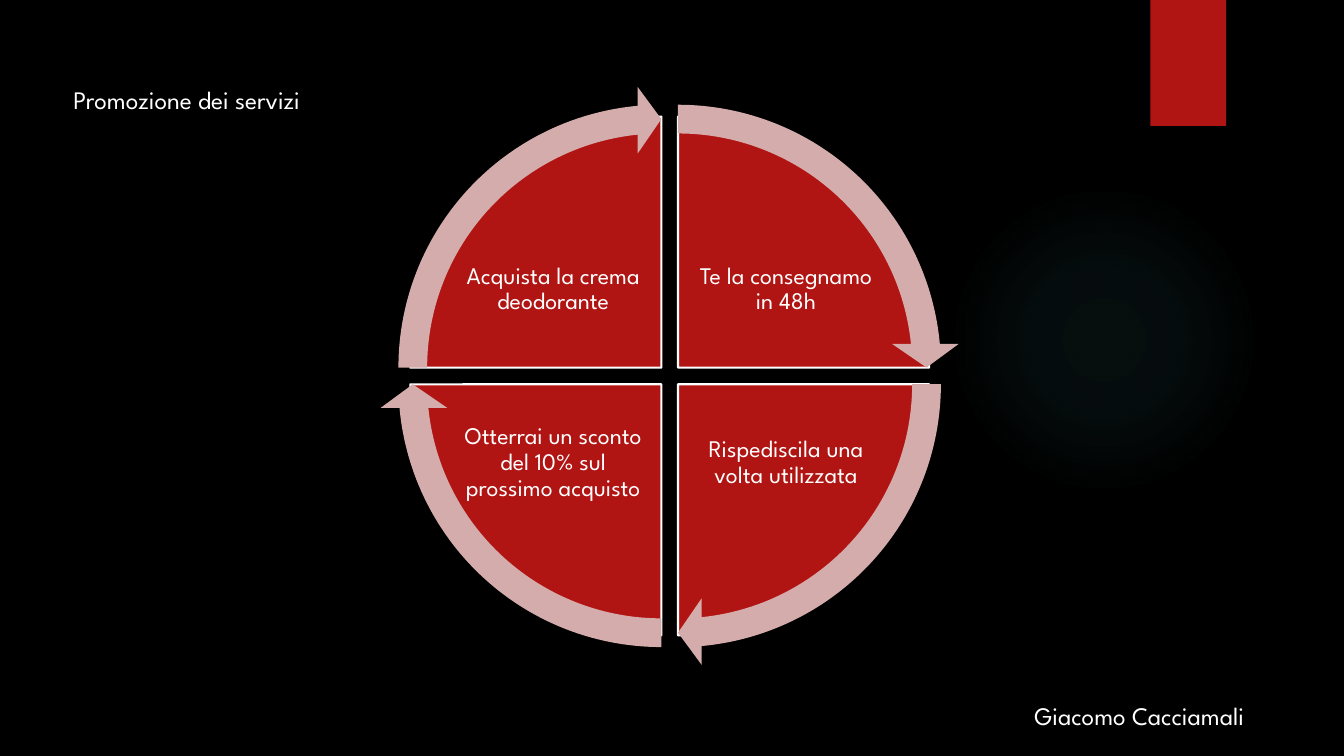
from dataclasses import dataclass

from lxml.etree import SubElement
from pptx import Presentation
from pptx.dml.color import RGBColor
from pptx.enum.shapes import MSO_SHAPE
from pptx.enum.text import MSO_ANCHOR, MSO_AUTO_SIZE, PP_ALIGN
from pptx.oxml.ns import qn
from pptx.util import Inches, Pt


@dataclass(frozen=True)
class Theme:
    background: str = "000000"
    red: str = "B01513"
    pink: str = "D4ACAB"
    white: str = "FFFFFF"
    glow: str = "50B9C1"
    font: str = "League Spartan"
    label_size: int = 18
    step_size: int = 17
    outline: float = 1.5


THEME = Theme()
WIDTH, HEIGHT = Inches(13.33), Inches(7.5)
COLUMN, ROW = WIDTH / 100, HEIGHT / 100
CENTER_X, CENTER_Y = 49.83 * COLUMN, 49.73 * ROW
HALF_GAP = 1.1 * ROW
PIE_SIZE, ARROW_SIZE = 66.4 * ROW, 74.53 * ROW
STEP_WIDTH, STEP_HEIGHT = 13.8 * COLUMN, 18.13 * ROW
STEP_OFFSET_X, STEP_OFFSET_Y = 8.66 * COLUMN, 11.47 * ROW
QUARTER, FULL_TURN = 54, 216
ARROWHEAD_ANGLE = 3.275

STEPS = [
    ("Te la consegnamo in 48h", 1, -1, 162),
    ("Rispediscila una volta utilizzata", 1, 1, 0),
    ("Otterrai un sconto del 10% sul prossimo acquisto", -1, 1, 54),
    ("Acquista la crema deodorante", -1, -1, 108),
]


def color(value):
    return RGBColor.from_string(value)


def box_at(left, top, width, height):
    return [round(length) for length in (left, top, width, height)]


def centered_box(center_x, center_y, width, height):
    return box_at(center_x - width / 2, center_y - height / 2, width, height)


def add_figure(shapes, kind, box, fill=None, line=None, adjustments=()):
    shape = shapes.add_shape(kind, *box)
    shape.shadow.inherit = False
    for index, value in enumerate(adjustments):
        shape.adjustments[index] = value
    if fill:
        shape.fill.solid()
        shape.fill.fore_color.rgb = color(fill)
    if line:
        shape.line.color.rgb = color(line)
        shape.line.width = Pt(THEME.outline)
    else:
        shape.line.fill.background()
    return shape


def add_text(shapes, text, box, size=THEME.label_size, align=PP_ALIGN.LEFT,
             anchor=MSO_ANCHOR.TOP, spacing=1.0, inset=None,
             auto_size=MSO_AUTO_SIZE.NONE):
    frame = shapes.add_textbox(*box).text_frame
    frame.word_wrap = True
    frame.auto_size = auto_size
    frame.vertical_anchor = anchor
    if inset is not None:
        frame.margin_left = frame.margin_right = inset
        frame.margin_top = frame.margin_bottom = inset
    paragraph = frame.paragraphs[0]
    paragraph.alignment = align
    paragraph.line_spacing = spacing
    run = paragraph.add_run()
    run.text = text
    run.font.name = THEME.font
    run.font.size = Pt(size)
    run.font.color.rgb = color(THEME.white)


def add_glow(shapes, box, stops):
    shape = add_figure(shapes, MSO_SHAPE.OVAL, box)
    shape.fill.gradient()
    gradient = shape.fill._xPr.find(qn("a:gradFill"))
    for child in list(gradient):
        gradient.remove(child)
    stop_list = SubElement(gradient, qn("a:gsLst"))
    for position, opacity in stops:
        stop = SubElement(stop_list, qn("a:gs"), pos=str(position * 1000))
        stop_color = SubElement(stop, qn("a:srgbClr"), val=THEME.glow)
        SubElement(stop_color, qn("a:alpha"), val=str(opacity * 1000))
    circle = SubElement(gradient, qn("a:path"), path="circle")
    middle = dict.fromkeys("ltrb", "50000")
    SubElement(circle, qn("a:fillToRect"), **middle)


def add_cycle(shapes):
    for text, side_x, side_y, start in STEPS:
        hub_x = CENTER_X + side_x * HALF_GAP
        hub_y = CENTER_Y + side_y * HALF_GAP
        add_figure(shapes, MSO_SHAPE.PIE,
                   centered_box(hub_x, hub_y, PIE_SIZE, PIE_SIZE),
                   THEME.red, THEME.white,
                   (start, (start + QUARTER) % FULL_TURN))
        add_text(shapes, text,
                 centered_box(CENTER_X + side_x * STEP_OFFSET_X,
                              CENTER_Y + side_y * STEP_OFFSET_Y,
                              STEP_WIDTH, STEP_HEIGHT),
                 size=THEME.step_size, align=PP_ALIGN.CENTER,
                 anchor=MSO_ANCHOR.MIDDLE, spacing=0.9, inset=Inches(0.02))
    for _, side_x, side_y, start in STEPS:
        add_figure(shapes, MSO_SHAPE.CIRCULAR_ARROW,
                   centered_box(CENTER_X + side_x * HALF_GAP,
                                CENTER_Y + side_y * HALF_GAP,
                                ARROW_SIZE, ARROW_SIZE),
                   THEME.pink, adjustments=(
                       0.051, ARROWHEAD_ANGLE,
                       start + QUARTER - ARROWHEAD_ANGLE, start, 0.059))


def main():
    presentation = Presentation()
    presentation.slide_width, presentation.slide_height = WIDTH, HEIGHT
    slide = presentation.slides.add_slide(presentation.slide_layouts[6])
    slide.background.fill.solid()
    slide.background.fill.fore_color.rgb = color(THEME.background)
    shapes = slide.shapes

    add_glow(shapes, box_at(70.59 * COLUMN, 24.4 * ROW, 41.07 * ROW, 41.07 * ROW),
             [(0, 7), (36, 6), (69, 0)])
    add_figure(shapes, MSO_SHAPE.RECTANGLE,
               box_at(85.6 * COLUMN, 0, 5.63 * COLUMN, 16.67 * ROW), THEME.red)
    add_text(shapes, "Giacomo Cacciamali",
             box_at(76.22 * COLUMN, 92 * ROW, 21.68 * COLUMN, 5.33 * ROW),
             auto_size=MSO_AUTO_SIZE.SHAPE_TO_FIT_TEXT)
    add_cycle(shapes.add_group_shape().shapes)
    add_text(shapes, "Promozione dei servizi",
             box_at(4.73 * COLUMN, 10.53 * ROW, 23.93 * COLUMN, 5.33 * ROW),
             auto_size=MSO_AUTO_SIZE.SHAPE_TO_FIT_TEXT)
    presentation.save("out.pptx")


main()
